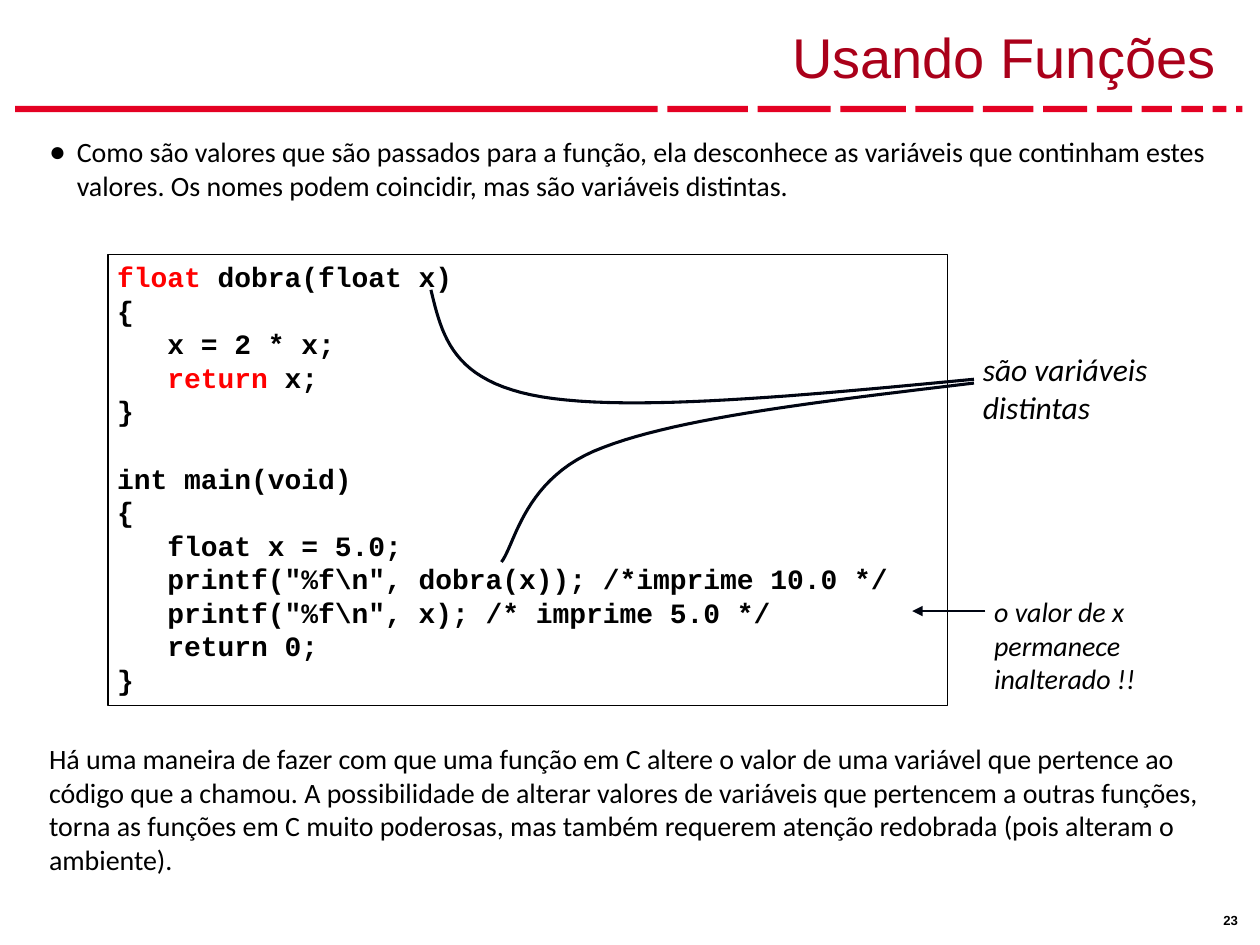
from dataclasses import dataclass
from typing import NamedTuple

from lxml.etree import SubElement
from pptx import Presentation
from pptx.dml.color import RGBColor
from pptx.enum.shapes import MSO_CONNECTOR as Connector, MSO_SHAPE as Preset
from pptx.enum.text import MSO_ANCHOR as Anchor, PP_ALIGN as Align
from pptx.oxml.ns import qn
from pptx.util import Inches, Pt

BLACK = RGBColor(0x00, 0x00, 0x00)
RED = RGBColor(0xFF, 0x00, 0x00)
TITLE_RED = RGBColor(0xAA, 0x00, 0x1A)
RULE_RED = RGBColor(0xE4, 0x01, 0x23)
NAVY = RGBColor(0x00, 0x05, 0x12)

COLUMNS, ROWS = 100, 75
WIDTH, HEIGHT = Inches(10), Inches(7.5)
CURVE_STEPS = 24


class Point(NamedTuple):
    column: float
    row: float

    def emu(self) -> tuple[int, int]:
        return round(self.column * WIDTH / COLUMNS), round(self.row * HEIGHT / ROWS)


class Box(NamedTuple):
    column: float
    row: float
    columns: float
    rows: float

    def emu(self) -> tuple[int, int, int, int]:
        return (*Point(self.column, self.row).emu(), *Point(self.columns, self.rows).emu())


class Run(NamedTuple):
    text: str
    color: RGBColor = BLACK


@dataclass
class Line:
    runs: list[Run]
    space_before: float = 0
    bullet: str = ""


@dataclass
class Curve:
    start: Point
    segments: list[tuple[Point, Point, Point]]


def plain(text: str, color: RGBColor = BLACK, **options) -> Line:
    return Line([Run(text, color)], **options)


def add_bullet(paragraph, character: str) -> None:
    properties = paragraph._p.get_or_add_pPr()
    indent = Inches(0.22)
    properties.set("marL", str(indent))
    properties.set("indent", str(-indent))
    SubElement(properties, qn("a:buFont"), typeface="Arial")
    SubElement(properties, qn("a:buChar"), char=character)


def write_text(shape, lines: list[Line], *, size: float, font: str = "Calibri",
               bold: bool = False, italic: bool = False, align=Align.LEFT,
               anchor=Anchor.TOP, side_inset: float = 0.08, line_spacing=None) -> None:
    frame = shape.text_frame
    frame.word_wrap = True
    frame.vertical_anchor = anchor
    frame.margin_left = frame.margin_right = Inches(side_inset)
    frame.margin_top = frame.margin_bottom = Inches(0.04)
    for index, line in enumerate(lines):
        paragraph = frame.add_paragraph() if index else frame.paragraphs[0]
        paragraph.alignment = align
        if line_spacing:
            paragraph.line_spacing = line_spacing
        if line.space_before:
            paragraph.space_before = Pt(line.space_before)
        if line.bullet:
            add_bullet(paragraph, line.bullet)
        for text, color in line.runs:
            run = paragraph.add_run()
            run.text = text
            run.font.name, run.font.size = font, Pt(size)
            run.font.bold, run.font.italic = bold, italic
            run.font.color.rgb = color


def add_text(slide, box: Box, lines: list[Line], **text_format) -> None:
    write_text(slide.shapes.add_textbox(*box.emu()), lines, **text_format)


def add_rectangle(slide, box: Box):
    rectangle = slide.shapes.add_shape(Preset.RECTANGLE, *box.emu())
    rectangle.shadow.inherit = False
    return rectangle


def add_dashed_rule(slide, left: float, right: float, row: float, widths: list[float]) -> None:
    gap = (right - left - sum(widths)) / (len(widths) - 1)
    for width in widths:
        dash = add_rectangle(slide, Box(left, row, width, 0.5))
        dash.fill.solid()
        dash.fill.fore_color.rgb = RULE_RED
        dash.line.fill.background()
        left += width + gap


def add_curve(slide, curve: Curve) -> None:
    points, start = [], curve.start
    for first, second, end in curve.segments:
        for step in range(1, CURVE_STEPS + 1):
            t = step / CURVE_STEPS
            weights = ((1 - t) ** 3, 3 * t * (1 - t) ** 2, 3 * t * t * (1 - t), t ** 3)
            controls = (start, first, second, end)
            points.append(Point(
                sum(weight * point.column for weight, point in zip(weights, controls)),
                sum(weight * point.row for weight, point in zip(weights, controls)),
            ).emu())
        start = end
    builder = slide.shapes.build_freeform(*curve.start.emu())
    builder.add_line_segments(points, close=False)
    shape = builder.convert_to_shape()
    shape.shadow.inherit = False
    shape.fill.background()
    shape.line.color.rgb, shape.line.width = NAVY, Pt(1.75)


def add_arrow(slide, start: Point, end: Point) -> None:
    arrow = slide.shapes.add_connector(Connector.STRAIGHT, *start.emu(), *end.emu())
    arrow.line.color.rgb, arrow.line.width = NAVY, Pt(1.25)
    SubElement(arrow.line._get_or_add_ln(), qn("a:tailEnd"), type="triangle")
    SubElement(arrow._element.spPr, qn("a:effectLst"))


CODE_SPACING = 19.2
CODE = [
    Line([Run("float", RED), Run(" dobra(float x)")]),
    plain("{"),
    plain("   x = 2 * x;"),
    Line([Run("   "), Run("return ", RED), Run("x;")]),
    plain("}"),
    plain("int main(void)", space_before=CODE_SPACING),
    plain("{"),
    plain("   float x = 5.0;"),
    plain('   printf("%f\\n", dobra(x)); /*imprime 10.0 */'),
    plain('   printf("%f\\n", x); /* imprime 5.0 */'),
    plain("   return 0;"),
    plain("}"),
]
BODY = [
    plain("Como são valores que são passados para a função, ela desconhece as variáveis que "
          "continham estes valores. Os nomes podem coincidir, mas são variáveis distintas.",
          bullet="●"),
    plain("Há uma maneira de fazer com que uma função em C altere o valor de uma variável que "
          "pertence ao código que a chamou. A possibilidade de alterar valores de variáveis que "
          "pertencem a outras funções, torna as funções em C muito poderosas, mas também "
          "requerem atenção redobrada (pois alteram o ambiente).", space_before=308.5),
]
DASHES = [51, 6.4, 5.8, 5.2, 4.6, 4, 3.5, 2.8, 2.4, 1.7, 1.1, 0.5]
CURVES = [
    Curve(Point(77.3, 30.4), [
        (Point(65.7, 31.8), Point(54.1, 33.1), Point(47.9, 35.5)),
        (Point(41.6, 37.8), Point(40.9, 43.2), Point(39.8, 44.6)),
    ]),
    Curve(Point(77.3, 30.1), [
        (Point(63.7, 31.4), Point(50.2, 32.7), Point(43, 31.5)),
        (Point(35.9, 30.3), Point(35.1, 26.7), Point(34.2, 23)),
    ]),
]


def main() -> None:
    presentation = Presentation()
    presentation.slide_width, presentation.slide_height = WIDTH, HEIGHT
    slide = presentation.slides.add_slide(presentation.slide_layouts[6])

    add_dashed_rule(slide, 1.2, 98.6, 8.4, DASHES)
    add_text(slide, Box(96.3, 72, 3.3, 2), [plain("23")], size=7.5, font="Arial", bold=True)
    add_text(slide, Box(3.1, 0.8, 94.2, 7.3), [plain("Usando Funções", TITLE_RED)],
             size=32, font="Arial", align=Align.RIGHT, anchor=Anchor.MIDDLE)
    add_text(slide, Box(3.1, 10.3, 94.6, 60.3), BODY, size=16)

    code_box = add_rectangle(slide, Box(8.6, 20.2, 66.6, 35.8))
    code_box.fill.background()
    code_box.line.color.rgb, code_box.line.width = BLACK, Pt(1)
    write_text(code_box, CODE, size=16, font="Courier New", bold=True,
               side_inset=0.07, line_spacing=Pt(CODE_SPACING))

    add_text(slide, Box(77.3, 27.4, 18.3, 6.8), [plain("são variáveis distintas")],
             size=18, italic=True, side_inset=0.07)
    add_text(slide, Box(78.2, 46.8, 19.1, 8.8),
             [plain("o valor de x permanece"), plain("inalterado !!")],
             size=16, italic=True, side_inset=0.07)
    add_arrow(slide, Point(78.2, 48.5), Point(72.4, 48.5))
    for curve in CURVES:
        add_curve(slide, curve)

    presentation.save("out.pptx")


if __name__ == "__main__":
    main()
